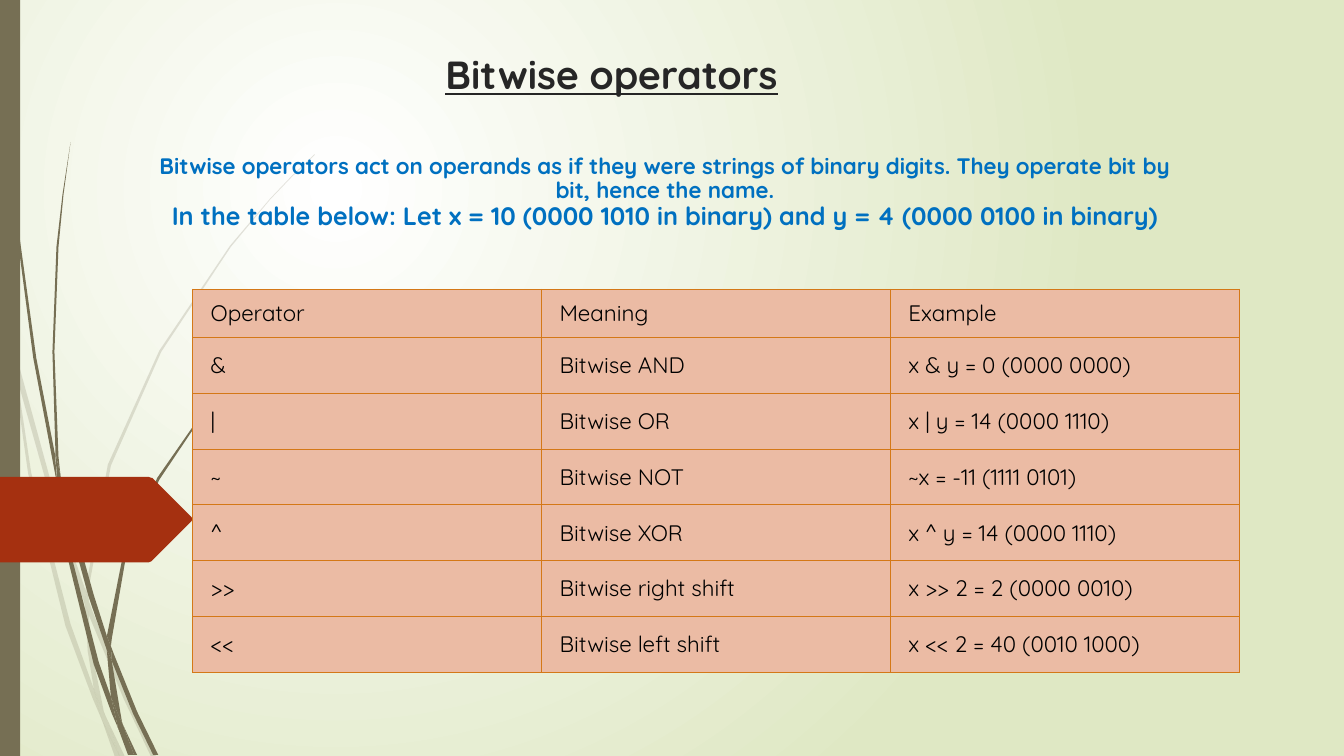
from lxml import etree
from pptx import Presentation
from pptx.dml.color import RGBColor
from pptx.enum.shapes import MSO_SHAPE as Shape
from pptx.enum.text import MSO_ANCHOR as Anchor, PP_ALIGN as Align
from pptx.oxml import parse_xml
from pptx.oxml.ns import nsdecls, qn
from pptx.util import Inches, Pt

FONT = "Quicksand"
COLORS = {
    "glow": "FFFFFF", "backdrop": "DFE8C4", "grass": "766F54",
    "arrow": "A53010", "title": "262626", "intro": "0070C0",
    "cell": "EBBBA4", "border": "D47817", "cell_text": "000000",
}
TITLE = "Bitwise operators"
INTRO = [
    ("Bitwise operators act on operands as if they were strings of binary "
     "digits. They operate bit by bit, hence the name.", 16),
    ("In the table below: Let x = 10 (0000 1010 in binary) "
     "and y = 4 (0000 0100 in binary)", 18),
]
OPERATORS = [
    ("Operator", "Meaning", "Example"),
    ("&", "Bitwise AND", "x & y = 0 (0000 0000)"),
    ("|", "Bitwise OR", "x | y = 14 (0000 1110)"),
    ("~", "Bitwise NOT", "~x = -11 (1111 0101)"),
    ("^", "Bitwise XOR", "x ^ y = 14 (0000 1110)"),
    (">>", "Bitwise right shift", "x >> 2 = 2 (0000 0010)"),
    ("<<", "Bitwise left shift", "x << 2 = 40 (0010 1000)"),
]
TABLE_LEFT, TABLE_TOP, TABLE_HEIGHT = 1.91, 2.87, 3.8
COLUMN_WIDTH, HEADER_HEIGHT = 3.46, 0.48

# Outlines of the grass, blade section by blade section.
PALE_GRASS = [
    [(0.11, 3.5), (0.09, 3.22), (0, 2.82), (0, 2.99), (0.1, 3.44)],
    [(0.58, 5.22), (0.84, 5.99), (0.85, 5.86), (0.62, 5.2), (0.14, 3.45),
     (0.17, 3.76)],
    [(0.92, 6.07), (0.88, 5.96), (0.88, 6.1), (1.23, 6.94), (1.5, 7.51),
     (1.55, 7.51), (1.27, 6.92)],
    [(1.19, 7.51), (1.24, 7.51), (1.05, 7.11)],
    [(0.93, 6.83), (0.7, 6.19), (0.31, 4.69), (0.17, 3.76), (0.11, 3.5),
     (0.28, 4.7), (0.65, 6.21), (0.92, 6.93), (1.01, 7.14), (0.99, 7.07)],
    [(0.84, 5.99), (0.87, 6.46), (0.93, 6.83), (0.96, 6.92), (1.05, 7.11),
     (1.03, 7.06), (0.91, 6.46), (0.88, 6.1), (0.88, 6.08)],
    [(0.88, 5.84), (1.1, 4.62), (1.6, 3.49), (2.29, 2.45), (2.68, 1.98),
     (2.9, 1.75), (3.12, 1.54), (3.12, 1.53), (2.89, 1.75), (2.68, 1.97),
     (2.28, 2.44), (1.58, 3.48), (1.07, 4.61), (0.85, 5.84), (0.85, 5.86),
     (0.88, 5.96)],
    [(1.01, 7.14), (1.14, 7.51), (1.19, 7.51)],
    [(0.88, 6.08), (0.88, 6.1), (0.88, 5.96), (0.85, 5.86), (0.84, 5.99)],
    [(0.96, 6.92), (0.93, 6.83), (0.99, 7.07), (1.01, 7.14), (1.19, 7.51),
     (1.05, 7.11)],
]
DARK_GRASS = [
    [(0.07, 1.1), (0.17, 2.33), (0.33, 3.55), (0.56, 4.77), (0.57, 4.81),
     (0.55, 4.57), (0.55, 4.53), (0.36, 3.55), (0.19, 2.32), (0.08, 1.09),
     (0.05, 0.48), (0.04, 0), (0.03, 0), (0.04, 0.48)],
    [(0.88, 5.92), (1.06, 6.45), (1.06, 6.33), (1.06, 6.31), (0.93, 5.9),
     (0.6, 4.72), (0.64, 5.05)],
    [(1.13, 6.49), (1.1, 6.41), (1.11, 6.56), (1.32, 7.08), (1.52, 7.49),
     (1.57, 7.49), (1.36, 7.06)],
    [(1.1, 6.91), (0.98, 6.57), (0.72, 5.56), (0.64, 5.05), (0.57, 4.77),
     (0.68, 5.57), (0.93, 6.59), (1.11, 7.08), (1.17, 7.22), (1.16, 7.17)],
    [(0.6, 4.72), (0.58, 4.53), (0.54, 3.49), (0.58, 2.45), (0.63, 1.93),
     (0.7, 1.41), (0.62, 1.93), (0.56, 2.45), (0.52, 3.49), (0.55, 4.49)],
    [(1.33, 7.49), (1.36, 7.49), (1.22, 7.19)],
    [(0.57, 4.77), (0.64, 5.05), (0.6, 4.72), (0.55, 4.49), (0.55, 4.53)],
    [(1.11, 6.33), (1.25, 5.52), (1.58, 4.76), (2.05, 4.06), (2.31, 3.74),
     (2.45, 3.59), (2.61, 3.44), (2.6, 3.44), (2.45, 3.58), (2.31, 3.73),
     (2.04, 4.05), (1.56, 4.74), (1.22, 5.51), (1.06, 6.31), (1.1, 6.41)],
    [(1.17, 7.22), (1.27, 7.49), (1.31, 7.49)],
    [(1.06, 6.45), (1.1, 6.91), (1.16, 7.06), (1.22, 7.19), (1.21, 7.16),
     (1.11, 6.56), (1.09, 6.51)],
    [(1.06, 6.45), (1.09, 6.51), (1.11, 6.56), (1.1, 6.41), (1.06, 6.31),
     (1.06, 6.33)],
    [(1.16, 7.06), (1.1, 6.91), (1.16, 7.17), (1.17, 7.22), (1.3, 7.49),
     (1.33, 7.49), (1.22, 7.19)],
]
ARROW = [(0, 4.73), (1.47, 4.73), (1.5, 4.74), (1.51, 4.74), (1.9, 5.13),
         (1.91, 5.15), (1.9, 5.17), (1.51, 5.56), (1.5, 5.57), (1.47, 5.58),
         (0, 5.58)]


def rgb(name):
    """Return a named colour."""
    return RGBColor.from_string(COLORS[name])


def paint(shape, name, opacity=100):
    """Give a shape a plain fill without line or shadow."""
    shape.shadow.inherit = False
    shape.fill.solid()
    shape.fill.fore_color.rgb = rgb(name)
    shape.line.fill.background()
    if opacity < 100:
        color = shape._element.spPr.find(qn("a:solidFill"))[0]
        etree.SubElement(color, qn("a:alpha"), val=str(opacity * 1000))


def add_outline(page, outline, name, opacity=100):
    """Draw a filled outline through the given points."""
    points = [(Inches(x), Inches(y)) for x, y in outline]
    builder = page.shapes.build_freeform(*points[0])
    builder.add_line_segments(points[1:], close=True)
    paint(builder.convert_to_shape(), name, opacity)


def style(para, size, color, bold=False, underline=False):
    """Format every run of a paragraph."""
    for span in para.runs:
        font = span.font
        font.name, font.size, font.color.rgb = FONT, Pt(size), rgb(color)
        font.bold, font.underline = bold, underline


def add_text_frame(page, left, top, width, height):
    """Add a wrapping text box with text at its bottom."""
    box = page.shapes.add_textbox(*map(Inches, (left, top, width, height)))
    frame = box.text_frame
    frame.word_wrap, frame.vertical_anchor = True, Anchor.BOTTOM
    return frame


def set_borders(cell):
    """Draw a thin line on all four sides of a cell."""
    properties = cell._tc.get_or_add_tcPr()
    for place, side in enumerate(("lnL", "lnR", "lnT", "lnB")):
        properties.insert(place, parse_xml(
            f'<a:{side} {nsdecls("a")} w="{Pt(0.75)}"><a:solidFill>'
            f'<a:srgbClr val="{COLORS["border"]}"/></a:solidFill></a:{side}>'))


def add_operator_table(page):
    """Add the table of operators."""
    count, columns = len(OPERATORS), len(OPERATORS[0])
    row_height = (TABLE_HEIGHT - HEADER_HEIGHT) / (count - 1)
    table = page.shapes.add_table(
        count, columns, Inches(TABLE_LEFT), Inches(TABLE_TOP),
        Inches(COLUMN_WIDTH * columns), Inches(TABLE_HEIGHT)).table
    for r, texts in enumerate(OPERATORS):
        table.rows[r].height = Inches(row_height if r else HEADER_HEIGHT)
        for c, text in enumerate(texts):
            cell = table.cell(r, c)
            cell.text_frame.text = text
            cell.vertical_anchor = Anchor.MIDDLE
            cell.margin_left = cell.margin_right = Inches(0.18)
            cell.margin_top = cell.margin_bottom = Inches(0.09)
            cell.fill.solid()
            cell.fill.fore_color.rgb = rgb("cell")
            style(cell.text_frame.paragraphs[0], 16, "cell_text")
            set_borders(cell)


def set_backdrop(page):
    """Fill the background with a glow centred at the upper left."""
    fill = page.background.fill
    fill.gradient()
    for stop, name in zip(fill.gradient_stops, ("glow", "backdrop")):
        stop.color.rgb = rgb(name)
    gradient = page._element.find(".//" + qn("a:gradFill"))
    gradient.replace(gradient.find(qn("a:lin")), parse_xml(
        f'<a:path {nsdecls("a")} path="circle"><a:fillToRect l="50000" '
        't="50000" r="100000" b="100000"/></a:path>'))


deck = Presentation()
deck.slide_width, deck.slide_height = Inches(13.33), Inches(7.5)
page = deck.slides.add_slide(deck.slide_layouts[6])
set_backdrop(page)

for grass, opacity in ((PALE_GRASS, 20), (DARK_GRASS, 100)):
    for section in grass:
        add_outline(page, section, "grass", opacity)
side_bar = page.shapes.add_shape(
    Shape.RECTANGLE, 0, 0, Inches(0.2), deck.slide_height)
paint(side_bar, "grass")
add_outline(page, ARROW, "arrow")

title = add_text_frame(page, 4.32, 0.28, 4.08, 0.74)
title.text = TITLE
style(title.paragraphs[0], 28, "title", bold=True, underline=True)

intro = add_text_frame(page, 1.34, 1.23, 10.51, 1.11)
intro.text = "\n".join(text for text, size in INTRO)
for para, (text, size) in zip(intro.paragraphs, INTRO):
    para.alignment, para.line_spacing = Align.CENTER, 0.9
    style(para, size, "intro", bold=True)

add_operator_table(page)
deck.save("out.pptx")
